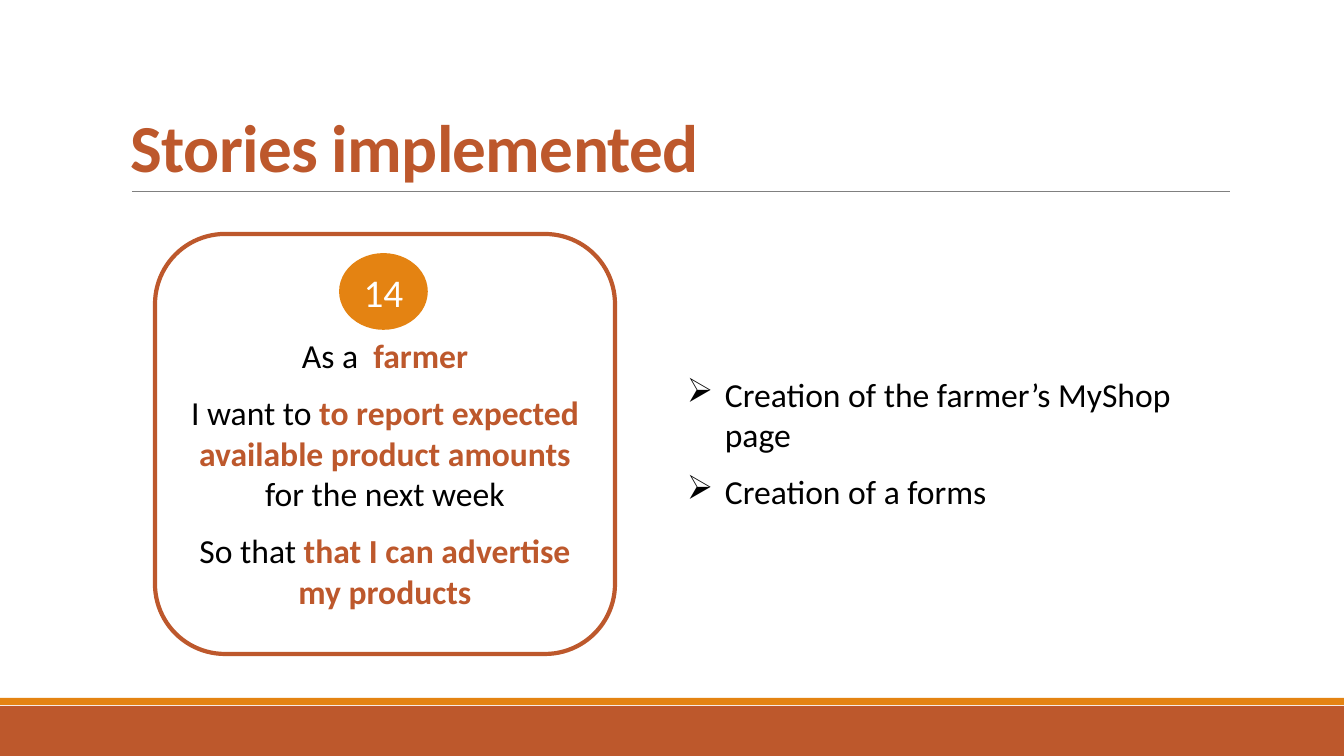
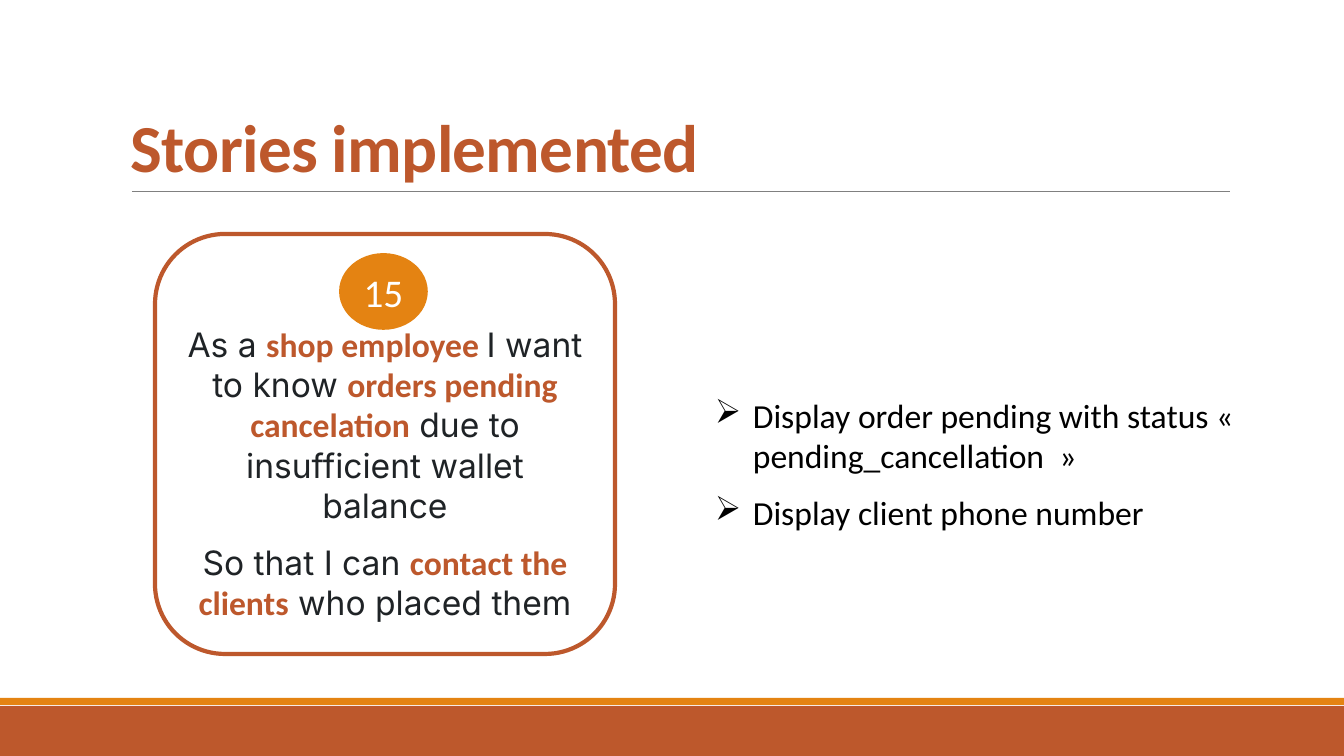
from dataclasses import dataclass

from lxml import etree
from pptx import Presentation
from pptx.dml.color import RGBColor
from pptx.enum.shapes import MSO_CONNECTOR, MSO_SHAPE
from pptx.enum.text import MSO_ANCHOR, PP_ALIGN
from pptx.oxml.ns import qn
from pptx.shapes.autoshape import Shape
from pptx.slide import Slide
from pptx.util import Emu, Pt

# Scale: 100.8 pixels to the inch
EMU_PER_PX = 914400 / 100.8
SLIDE_W, SLIDE_H = 1344, 756

# Colours
RUST = RGBColor(0xBD, 0x58, 0x2C)
ORANGE = RGBColor(0xE4, 0x83, 0x12)
GREY = RGBColor(0x80, 0x80, 0x80)
INK = RGBColor(0x1F, 0x23, 0x26)
BLACK = RGBColor(0, 0, 0)
WHITE = RGBColor(0xFF, 0xFF, 0xFF)


@dataclass(frozen=True)
class Box:
    left: int
    top: int
    width: int
    height: int

    def emu(self) -> tuple[Emu, Emu, Emu, Emu]:
        return px(self.left), px(self.top), px(self.width), px(self.height)


@dataclass(frozen=True)
class Style:
    size: int
    color: RGBColor
    font: str = "Calibri"
    bold: bool = False


@dataclass(frozen=True)
class Story:
    number: int
    paragraphs: list[list[tuple[str, Style]]]
    tasks: list[str]
    tasks_box: Box


# Text styles
TITLE = Style(48, RUST, bold=True)
BODY = Style(24, BLACK)
INTER = Style(24, INK, "Inter")
KEY = Style(24, RUST, bold=True)
NUMBER = Style(28, WHITE)

# Shared places
TITLE_BOX = Box(121, 31, 1109, 160)
RULE_LEFT, RULE_RIGHT, RULE_Y = 132, 1230, 191
FOOTER_BOX = Box(0, 706, SLIDE_W, 50)
STRIPE_BOX = Box(0, 698, SLIDE_W, 7)
CARD_BOX = Box(155, 234, 460, 420)
BADGE_BOX = Box(340, 254, 87, 75)
CARD_TOP_INSET = 63
BULLET_INDENT = 38

STORIES = [
    Story(
        14,
        [
            [("As a ", BODY), (" farmer", KEY)],
            [
                ("I want to ", BODY),
                ("to report expected available product amounts ", KEY),
                ("for the next week", BODY),
            ],
            [("So that ", BODY), ("that I can advertise my products", KEY)],
        ],
        ["Creation of the farmer’s MyShop page", "Creation of a forms"],
        Box(677, 369, 552, 149),
    ),
    Story(
        15,
        [
            [
                ("As a ", INTER),
                ("shop employee ", KEY),
                ("I want to know ", INTER),
                ("orders pending cancelation", KEY),
                (" due to insufficient wallet balance", INTER),
            ],
            [
                ("So that I can ", INTER),
                ("contact the clients", KEY),
                (" who placed them", INTER),
            ],
        ],
        [
            "Display order pending with status « pending_cancellation\u00a0\u00a0»",
            "Display client phone number",
        ],
        Box(705, 390, 552, 149),
    ),
]


def px(value: float) -> Emu:
    return Emu(round(value * EMU_PER_PX))


def add_run(paragraph, text: str, style: Style):
    run = paragraph.add_run()
    run.text = text
    run.font.name = style.font
    run.font.size = Pt(style.size)
    run.font.bold = style.bold
    run.font.color.rgb = style.color
    return run


def fill_text(shape: Shape, paragraphs: list[list[tuple[str, Style]]],
              align: PP_ALIGN, anchor: MSO_ANCHOR, space_after: int = 0) -> None:
    frame = shape.text_frame
    frame.word_wrap = True
    frame.vertical_anchor = anchor
    for index, runs in enumerate(paragraphs):
        paragraph = frame.add_paragraph() if index else frame.paragraphs[0]
        paragraph.alignment = align
        paragraph.space_after = Pt(space_after)
        for text, style in runs:
            add_run(paragraph, text, style)


def add_filled(slide: Slide, kind: MSO_SHAPE, box: Box, fill: RGBColor,
               line: RGBColor | None = None, line_width: float = 0) -> Shape:
    shape = slide.shapes.add_shape(kind, *box.emu())
    shape.shadow.inherit = False
    shape.fill.solid()
    shape.fill.fore_color.rgb = fill
    if line is None:
        shape.line.fill.background()
    else:
        shape.line.color.rgb = line
        shape.line.width = Pt(line_width)
    return shape


def add_frame(slide: Slide, title: str) -> None:
    # Footer bands
    add_filled(slide, MSO_SHAPE.RECTANGLE, FOOTER_BOX, RUST)
    add_filled(slide, MSO_SHAPE.RECTANGLE, STRIPE_BOX, ORANGE)

    # Rule under the title
    rule = slide.shapes.add_connector(
        MSO_CONNECTOR.STRAIGHT, px(RULE_LEFT), px(RULE_Y), px(RULE_RIGHT), px(RULE_Y))
    rule.line.color.rgb = GREY
    rule.line.width = Pt(0.5)
    etree.SubElement(rule._element.spPr, qn("a:effectLst"))

    # Title
    heading = slide.shapes.add_textbox(*TITLE_BOX.emu())
    fill_text(heading, [[(title, TITLE)]], PP_ALIGN.LEFT, MSO_ANCHOR.BOTTOM)
    paragraph = heading.text_frame.paragraphs[0]
    paragraph.line_spacing = 0.85
    paragraph.runs[0].font._element.set("spc", "-50")


def add_card(slide: Slide, story: Story) -> None:
    card = add_filled(slide, MSO_SHAPE.ROUNDED_RECTANGLE, CARD_BOX, WHITE, RUST, 3)
    fill_text(card, story.paragraphs, PP_ALIGN.CENTER, MSO_ANCHOR.MIDDLE, 12)
    card.text_frame.margin_top = px(CARD_TOP_INSET)

    badge = add_filled(slide, MSO_SHAPE.OVAL, BADGE_BOX, ORANGE, ORANGE, 1.25)
    fill_text(badge, [[(str(story.number), NUMBER)]], PP_ALIGN.CENTER, MSO_ANCHOR.MIDDLE)


def add_tasks(slide: Slide, story: Story) -> None:
    tasks = slide.shapes.add_textbox(*story.tasks_box.emu())
    fill_text(tasks, [[(task, BODY)] for task in story.tasks],
              PP_ALIGN.LEFT, MSO_ANCHOR.TOP, 12)
    for paragraph in tasks.text_frame.paragraphs:
        properties = paragraph._p.get_or_add_pPr()
        properties.set("marL", str(px(BULLET_INDENT)))
        properties.set("indent", str(-px(BULLET_INDENT)))
        etree.SubElement(properties, qn("a:buChar")).set("char", "➢")


def main() -> None:
    deck = Presentation()
    deck.slide_width, deck.slide_height = px(SLIDE_W), px(SLIDE_H)
    blank = deck.slide_layouts[6]
    for story in STORIES:
        slide = deck.slides.add_slide(blank)
        add_frame(slide, "Stories implemented")
        add_tasks(slide, story)
        add_card(slide, story)
    deck.save("out.pptx")


main()
